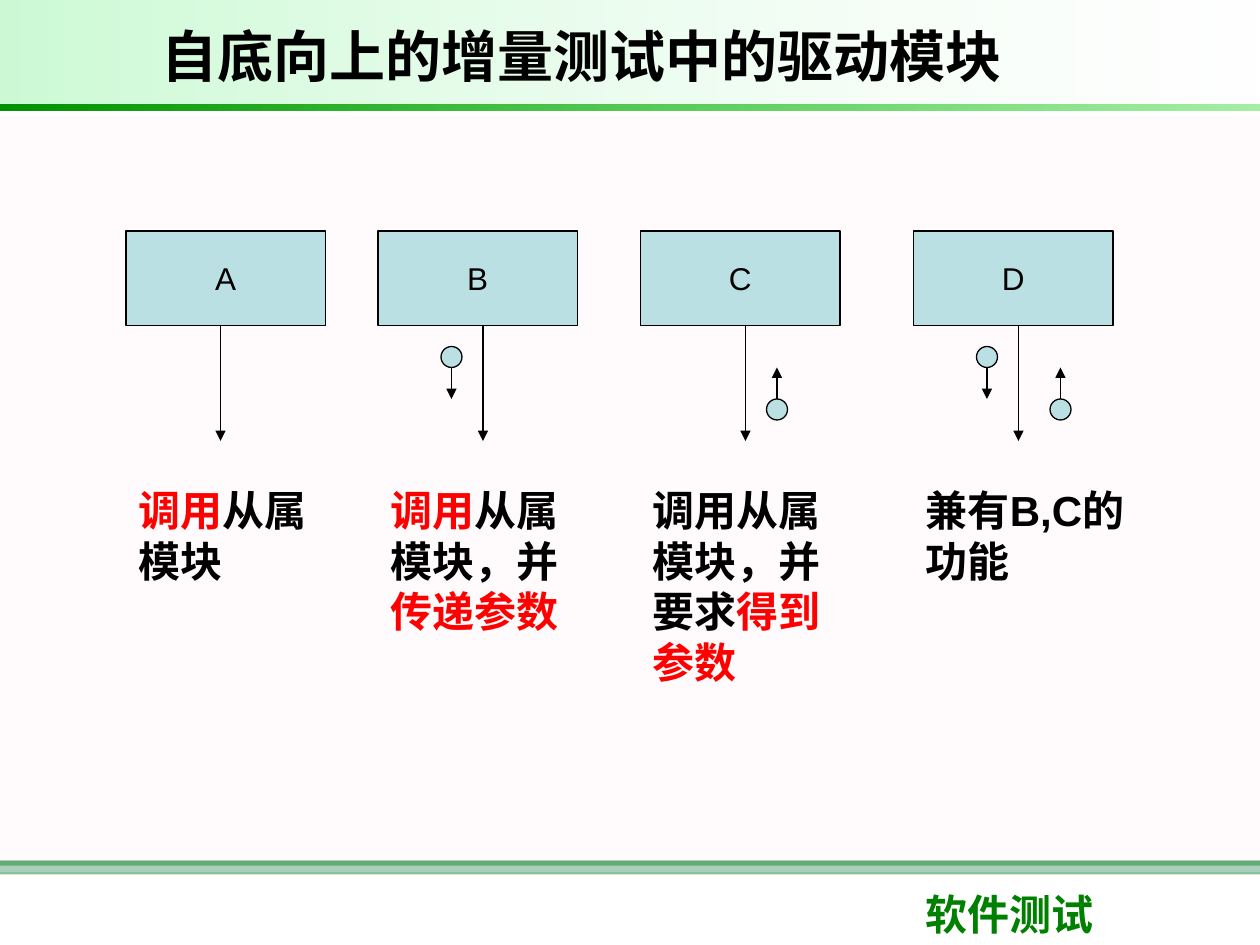
"""Build the slide on driver modules in bottom-up incremental testing."""
import dataclasses
import typing

import lxml.etree
import pptx
import pptx.dml.color
import pptx.enum.shapes
import pptx.enum.text
import pptx.oxml.ns
import pptx.util


@dataclasses.dataclass(frozen=True)
class Theme:
    """Colours, type sizes and grid of the slide."""

    font: str = "Arial"
    ink: str = "000000"
    accent: str = "FF0000"
    module: str = "BBE0E3"
    footer: str = "008000"
    title_size: int = 32
    body_size: int = 24
    label_size: int = 18
    line_width: float = 0.75
    cells_per_inch: int = 12


class Stop(typing.NamedTuple):
    """A colour with its opacity in percent."""

    color: str
    opacity: int = 100


class Band(typing.NamedTuple):
    """A full-width stripe: top and height in inches, one or two stops."""

    top: float
    height: float
    stops: tuple[Stop, ...]


class Phrase(typing.NamedTuple):
    """A piece of text, emphasised or not."""

    text: str
    emphasised: bool = False


class Driver(typing.NamedTuple):
    """A driver module with grid columns for its box, call and parameters."""

    label: str
    column: int
    call_column: int
    phrases: tuple[Phrase, ...]
    sent_column: int | None = None
    received_column: int | None = None


THEME = Theme()
SHAPES = pptx.enum.shapes.MSO_SHAPE
BOX_TOP, BOX_WIDTH, BOX_HEIGHT = 22, 19, 9
CALL_END, TOKEN_SIZE, TOKEN_ARROW = 42, 2, 3
SENT_TOP, RECEIVED_TOP = 33, 38

BANDS = (
    Band(6.83, 0.04, (Stop("008000"),)),
    Band(6.83, 0.11, (Stop("339966", 60),)),
    Band(0.92, 6, (Stop("FFF0F5", 30),)),
    Band(0, 0.83, (Stop("FFFFFF", 10), Stop("09E733", 21))),
    Band(0.83, 0.05, (Stop("00CC00", 35), Stop("009200"))),
)

DRIVERS = (
    Driver("A", 12, 21, (Phrase("调用", True), Phrase("从属模块"))),
    Driver("B", 36, 46,
           (Phrase("调用", True), Phrase("从属模块，并"), Phrase("传递参数", True)),
           sent_column=42),
    Driver("C", 61, 71,
           (Phrase("调用从属模块，并要求"), Phrase("得到参数", True)),
           received_column=73),
    Driver("D", 87, 97, (Phrase("兼有B,C的功能"),),
           sent_column=93, received_column=100),
)


def rgb(color: str) -> pptx.dml.color.RGBColor:
    """Turn a hex string into a colour."""
    return pptx.dml.color.RGBColor.from_string(color)


def cells(count: float) -> pptx.util.Length:
    """Turn grid cells into a length."""
    return pptx.util.Inches(count / THEME.cells_per_inch)


def style_run(run, size: int, color: str, bold: bool = True) -> None:
    """Set the font of a run."""
    run.font.name = THEME.font
    run.font.size = pptx.util.Pt(size)
    run.font.bold = bold
    run.font.color.rgb = rgb(color)


def add_band(slide, band: Band) -> None:
    """Draw a plain or gradient stripe."""
    stripe = slide.shapes.add_shape(
        SHAPES.RECTANGLE, 0, pptx.util.Inches(band.top),
        pptx.util.Inches(10), pptx.util.Inches(band.height))
    stripe.shadow.inherit = False
    if len(band.stops) == 1:
        stripe.fill.solid()
        stripe.fill.fore_color.rgb = rgb(band.stops[0].color)
    else:
        stripe.rotation = 180
        stripe.fill.gradient()
        stripe.fill.gradient_angle = 0
        for gradient_stop, stop in zip(stripe.fill.gradient_stops, band.stops):
            gradient_stop.color.rgb = rgb(stop.color)
    tag = pptx.oxml.ns.qn("a:srgbClr")
    for node, stop in zip(list(stripe._element.spPr.iter(tag)), band.stops):
        alpha = lxml.etree.SubElement(node, pptx.oxml.ns.qn("a:alpha"))
        alpha.set("val", str(stop.opacity * 1000))
    stripe.line.fill.background()


def add_text(slide, left: float, top: float, width: float, height: float,
             phrases: tuple[Phrase, ...], size: int, color: str):
    """Add a wrapped text box, in inches, and return its frame."""
    frame = slide.shapes.add_textbox(
        *map(pptx.util.Inches, (left, top, width, height))).text_frame
    frame.word_wrap = True
    for phrase in phrases:
        run = frame.paragraphs[0].add_run()
        run.text = phrase.text
        style_run(run, size, THEME.accent if phrase.emphasised else color)
    return frame


def add_node(slide, kind, left: float, top: float, width: float, height: float):
    """Draw an outlined shape on the grid."""
    node = slide.shapes.add_shape(kind, *map(cells, (left, top, width, height)))
    node.shadow.inherit = False
    node.fill.solid()
    node.fill.fore_color.rgb = rgb(THEME.module)
    node.line.color.rgb = rgb(THEME.ink)
    node.line.width = pptx.util.Pt(THEME.line_width)
    return node


def add_arrow(slide, column: float, start: float, end: float) -> None:
    """Draw a vertical arrow on the grid."""
    arrow = slide.shapes.add_connector(
        pptx.enum.shapes.MSO_CONNECTOR.STRAIGHT,
        *map(cells, (column, start, column, end)))
    arrow.line.color.rgb = rgb(THEME.ink)
    arrow.line.width = pptx.util.Pt(THEME.line_width)
    head = lxml.etree.SubElement(
        arrow.line._get_or_add_ln(), pptx.oxml.ns.qn("a:tailEnd"))
    head.set("type", "triangle")
    lxml.etree.SubElement(arrow._element.spPr, pptx.oxml.ns.qn("a:effectLst"))


def add_token(slide, column: int, top: int, start: int, end: int) -> None:
    """Draw a parameter circle with its arrow."""
    add_node(slide, SHAPES.OVAL, column, top, TOKEN_SIZE, TOKEN_SIZE)
    add_arrow(slide, column + TOKEN_SIZE / 2, start, end)


def add_driver(slide, driver: Driver) -> None:
    """Draw a driver module with its call, parameters and description."""
    lines = {"A": 2, "B": 3, "C": 4, "D": 2}[driver.label]
    description = add_text(
        slide, driver.column / THEME.cells_per_inch, 3.8, 1.83, 0.1 + 0.4 * lines,
        driver.phrases, THEME.body_size, THEME.ink)
    description.auto_size = pptx.enum.text.MSO_AUTO_SIZE.SHAPE_TO_FIT_TEXT
    box = add_node(slide, SHAPES.RECTANGLE,
                   driver.column, BOX_TOP, BOX_WIDTH, BOX_HEIGHT)
    frame = box.text_frame
    frame.text = driver.label
    frame.word_wrap = False
    frame.vertical_anchor = pptx.enum.text.MSO_ANCHOR.MIDDLE
    frame.paragraphs[0].alignment = pptx.enum.text.PP_ALIGN.CENTER
    style_run(frame.paragraphs[0].runs[0], THEME.label_size, THEME.ink, bold=False)
    add_arrow(slide, driver.call_column, BOX_TOP + BOX_HEIGHT, CALL_END)
    if driver.sent_column is not None:
        start = SENT_TOP + TOKEN_SIZE
        add_token(slide, driver.sent_column, SENT_TOP, start, start + TOKEN_ARROW)
    if driver.received_column is not None:
        add_token(slide, driver.received_column, RECEIVED_TOP,
                  RECEIVED_TOP, RECEIVED_TOP - TOKEN_ARROW)


def main() -> None:
    """Build and save the slide."""
    deck = pptx.Presentation()
    deck.slide_width, deck.slide_height = map(pptx.util.Inches, (10, 7.5))
    slide = deck.slides.add_slide(deck.slide_layouts[6])
    for band in BANDS:
        add_band(slide, band)
    add_text(slide, 7.25, 7, 2.37, 0.5, (Phrase("软件测试"),),
             THEME.body_size, THEME.footer)
    title = add_text(slide, 1.18, 0.08, 6.97, 0.71,
                     (Phrase("自底向上的增量测试中的驱动模块"),),
                     THEME.title_size, THEME.ink)
    title.vertical_anchor = pptx.enum.text.MSO_ANCHOR.MIDDLE
    for driver in DRIVERS:
        add_driver(slide, driver)
    deck.save("out.pptx")


main()
